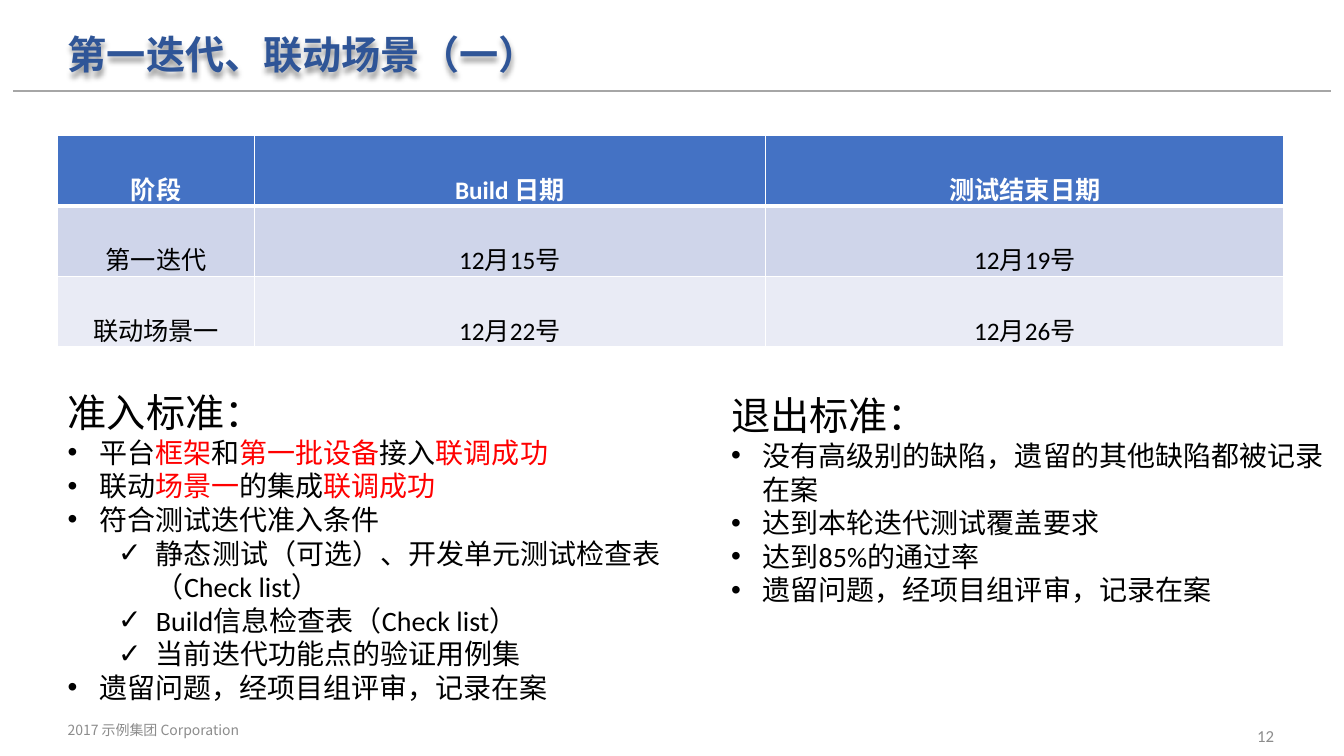
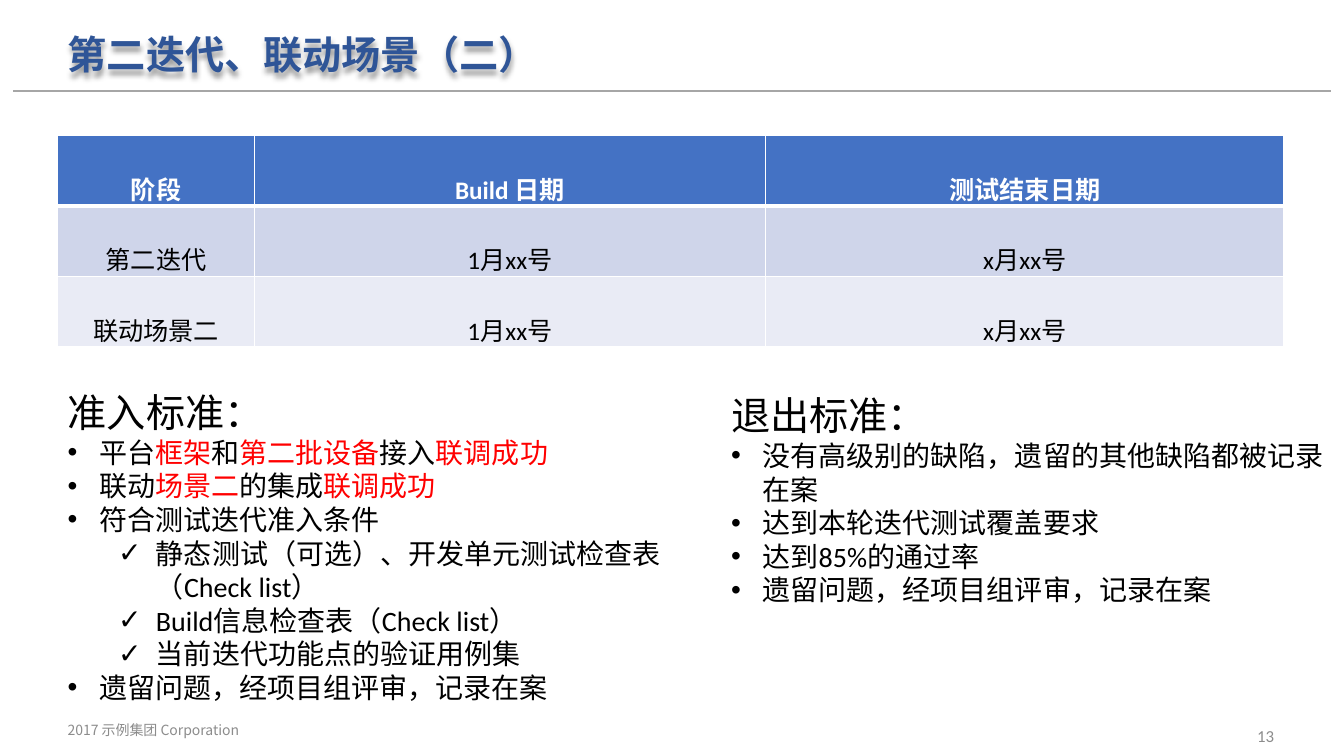
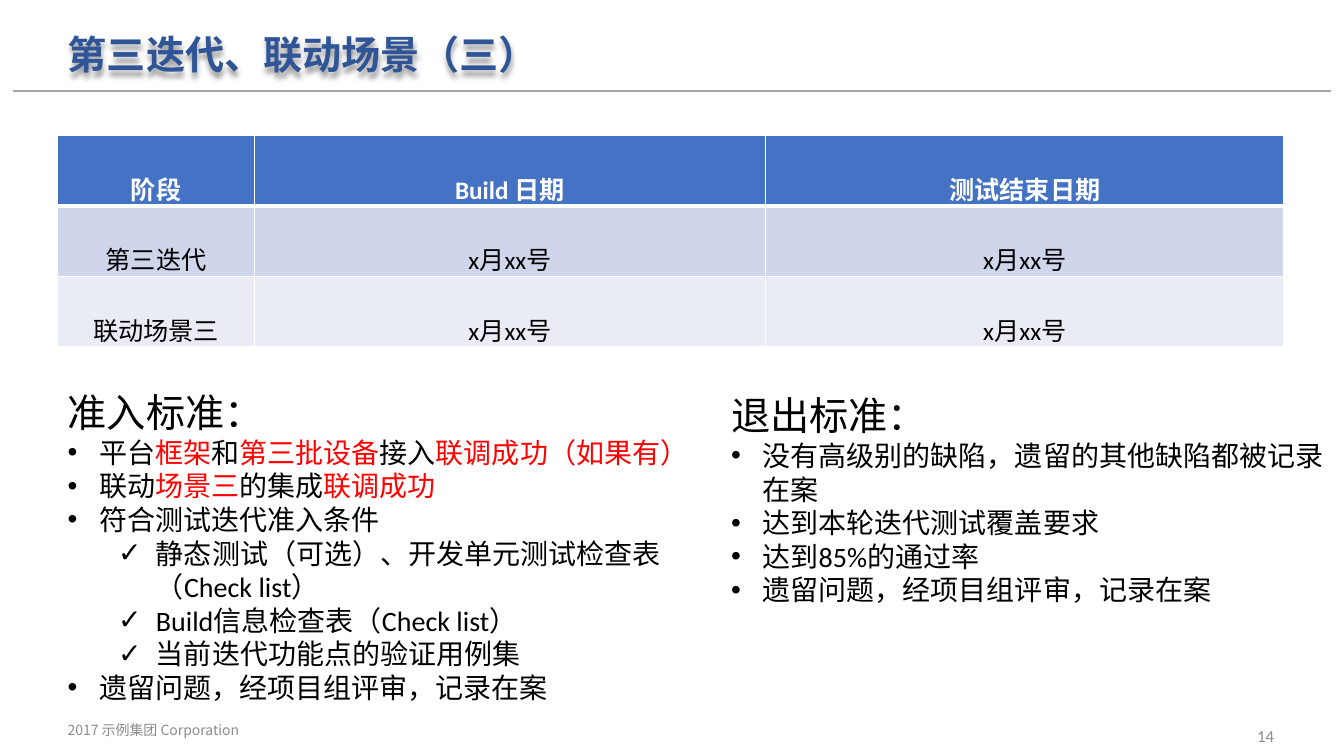
from dataclasses import dataclass
from itertools import product

from lxml.etree import SubElement
from pptx import Presentation
from pptx.dml.color import RGBColor
from pptx.enum.shapes import MSO_CONNECTOR as Conn
from pptx.enum.text import MSO_ANCHOR as Anchor, MSO_AUTO_SIZE as Fit, PP_ALIGN as Align
from pptx.oxml.ns import qn
from pptx.util import Pt

LATIN, CJK = "Calibri", "Noto Sans CJK SC"
BLACK, WHITE, RED, GRAY = "000000", "FFFFFF", "FF0000", "8C8C8C"
NAVY, RULE = "2F5597", "A6A6A6"
ROW_FILLS = ("4472C4", "CFD5EA", "E9EBF5")
LEFT = 41.2
COLUMN_WIDTHS = (140.5, 365.2, 370.3)
ROW_HEIGHT = 50.3


@dataclass(frozen=True)
class Box:
    x: float
    y: float
    w: float
    h: float


@dataclass(frozen=True)
class Style:
    size: float
    color: str = BLACK
    bold: bool = False
    font: str = LATIN


@dataclass(frozen=True)
class ListLevel:
    level: int
    margin: float
    hang: float
    bullet: str
    size: float = 20


@dataclass(frozen=True)
class Item:
    kind: ListLevel
    texts: tuple[str, ...]


@dataclass(frozen=True)
class Phase:
    page: int
    numeral: str
    dates: tuple[tuple[str, str], tuple[str, str]]
    note: str = ""


HEADING = ListLevel(0, 0, 0, "", 28)
BULLET = ListLevel(0, 22.5, 22.5, "•")
CHECK = ListLevel(1, 63, 27, "✓")

TITLE_BOX = Box(LEFT, 12.2, 686, 57)
ENTRY_BOX = Box(LEFT, 273.6, 474, 257)
EXIT_BOX = Box(515, 276, 445.5, 184.3)
FOOTER_BOX = Box(LEFT, 507, 216, 28.8)
NUMBER_BOX = Box(701.3, 511.2, 216, 28.8)

LEFTOVER = Item(BULLET, ("遗留问题，经项目组评审，记录在案",))
EXIT_ITEMS = (
    Item(HEADING, ("退出标准：",)),
    Item(BULLET, ("没有高级别的缺陷，遗留的其他缺陷都被记录在案",)),
    Item(BULLET, ("达到本轮迭代测试覆盖要求",)),
    Item(BULLET, ("达到85%的通过率",)),
    LEFTOVER,
)
PHASES = (
    Phase(12, "一", (("12月15号", "12月19号"), ("12月22号", "12月26号"))),
    Phase(13, "二", (("1月xx号", "x月xx号"),) * 2),
    Phase(14, "三", (("x月xx号", "x月xx号"),) * 2, "（如果有）"),
)


def entry_items(phase: Phase) -> tuple[Item, ...]:
    n = phase.numeral
    return (
        Item(HEADING, ("准入标准：",)),
        Item(BULLET, ("平台", "框架", "和", f"第{n}批设备", "接入", f"联调成功{phase.note}")),
        Item(BULLET, ("联动", f"场景{n}", "的集成", "联调成功")),
        Item(BULLET, ("符合测试迭代准入条件",)),
        Item(CHECK, ("静态测试（可选）、开发单元测试检查表（Check list）",)),
        Item(CHECK, ("Build信息检查表（Check list）",)),
        Item(CHECK, ("当前迭代功能点的验证用例集",)),
        LEFTOVER,
    )


def rgb(color: str) -> RGBColor:
    return RGBColor.from_string(color)


def add_run(p, text: str, style: Style) -> None:
    r = p.add_run()
    r.text = text
    r.font.size = Pt(style.size)
    r.font.bold = style.bold
    r.font.name = style.font
    r.font.color.rgb = rgb(style.color)
    SubElement(r.font._element, qn("a:ea"), typeface=style.font)


def place(sp, box: Box) -> None:
    sp.left, sp.top, sp.width, sp.height = map(Pt, (box.x, box.y, box.w, box.h))


def add_shadow(sp) -> None:
    effects = SubElement(sp._element.spPr, qn("a:effectLst"))
    shadow = SubElement(effects, qn("a:outerShdw"), blurRad="50800", dist="38100",
                        dir="5400000", algn="t", rotWithShape="0")
    color = SubElement(shadow, qn("a:srgbClr"), val=BLACK)
    SubElement(color, qn("a:alpha"), val="40000")


def fill_title(sp, text: str) -> None:
    place(sp, TITLE_BOX)
    add_shadow(sp)
    tf = sp.text_frame
    tf.auto_size = Fit.NONE
    tf.vertical_anchor = Anchor.MIDDLE
    p = tf.paragraphs[0]
    p.alignment = Align.LEFT
    p.line_spacing = 0.9
    add_run(p, text, Style(28, NAVY, True))


def fill_list(sp, box: Box, items: tuple[Item, ...]) -> None:
    place(sp, box)
    tf = sp.text_frame
    tf.auto_size = Fit.SHAPE_TO_FIT_TEXT
    for i, item in enumerate(items):
        p = tf.add_paragraph() if i else tf.paragraphs[0]
        kind = item.kind
        p.level = kind.level
        p.space_before = Pt(0)
        pPr = p._p.get_or_add_pPr()
        pPr.set("marL", str(Pt(kind.margin)))
        pPr.set("indent", str(-Pt(kind.hang)))
        if kind.bullet:
            SubElement(pPr, qn("a:buFont"), typeface="Arial")
            SubElement(pPr, qn("a:buChar"), char=kind.bullet)
        else:
            SubElement(pPr, qn("a:buNone"))
        for j, text in enumerate(item.texts):
            add_run(p, text, Style(kind.size, RED if j % 2 else BLACK))


def add_label(s, box: Box, text: str, style: Style, align: Align) -> None:
    sp = s.shapes.add_textbox(*map(Pt, (box.x, box.y, box.w, box.h)))
    tf = sp.text_frame
    tf.word_wrap = True
    tf.vertical_anchor = Anchor.MIDDLE
    p = tf.paragraphs[0]
    p.alignment = align
    add_run(p, text, style)


def add_rule(s) -> None:
    line = s.shapes.add_connector(Conn.STRAIGHT, Pt(9.4), Pt(64.8), Pt(951), Pt(64.8))
    line.line.color.rgb = rgb(RULE)
    line.line.width = Pt(1.5)
    SubElement(line._element.spPr, qn("a:effectLst"))


def set_borders(cell, top: float, bottom: float) -> None:
    tcPr = cell._tc.get_or_add_tcPr()
    for side, width in (("L", 1), ("R", 1), ("T", top), ("B", bottom)):
        ln = SubElement(tcPr, qn(f"a:ln{side}"), w=str(Pt(width)))
        SubElement(SubElement(ln, qn("a:solidFill")), qn("a:srgbClr"), val=WHITE)


def add_schedule(s, phase: Phase) -> None:
    rows = (
        ("阶段", "Build 日期", "测试结束日期"),
        (f"第{phase.numeral}迭代", *phase.dates[0]),
        (f"联动场景{phase.numeral}", *phase.dates[1]),
    )
    table = s.shapes.add_table(
        len(rows), len(COLUMN_WIDTHS), Pt(LEFT), Pt(97),
        Pt(sum(COLUMN_WIDTHS)), Pt(ROW_HEIGHT * len(rows))).table
    for column, width in zip(table.columns, COLUMN_WIDTHS):
        column.width = Pt(width)
    for row in table.rows:
        row.height = Pt(ROW_HEIGHT)
    for i, j in product(range(len(rows)), range(len(COLUMN_WIDTHS))):
        cell = table.cell(i, j)
        set_borders(cell, 3 if i == 1 else 1, 3 if i == 0 else 1)
        cell.fill.solid()
        cell.fill.fore_color.rgb = rgb(ROW_FILLS[i])
        cell.vertical_anchor = Anchor.BOTTOM
        cell.margin_bottom = Pt(0)
        p = cell.text_frame.paragraphs[0]
        p.alignment = Align.CENTER
        add_run(p, rows[i][j], Style(18, BLACK if i else WHITE, i == 0))


def add_phase_slide(prs, phase: Phase) -> None:
    s = prs.slides.add_slide(prs.slide_layouts.get_by_name("Two Content"))
    title, entry, exit_list = s.placeholders
    add_rule(s)
    fill_title(title, f"第{phase.numeral}迭代、联动场景（{phase.numeral}）")
    add_label(s, FOOTER_BOX, "2017 示例集团 Corporation", Style(10, GRAY, font=CJK), Align.LEFT)
    add_label(s, NUMBER_BOX, str(phase.page), Style(12, GRAY), Align.RIGHT)
    add_schedule(s, phase)
    fill_list(entry, ENTRY_BOX, entry_items(phase))
    fill_list(exit_list, EXIT_BOX, EXIT_ITEMS)


def main() -> None:
    prs = Presentation()
    prs.slide_width, prs.slide_height = Pt(960), Pt(540)
    for phase in PHASES:
        add_phase_slide(prs, phase)
    prs.save("out.pptx")


if __name__ == "__main__":
    main()
